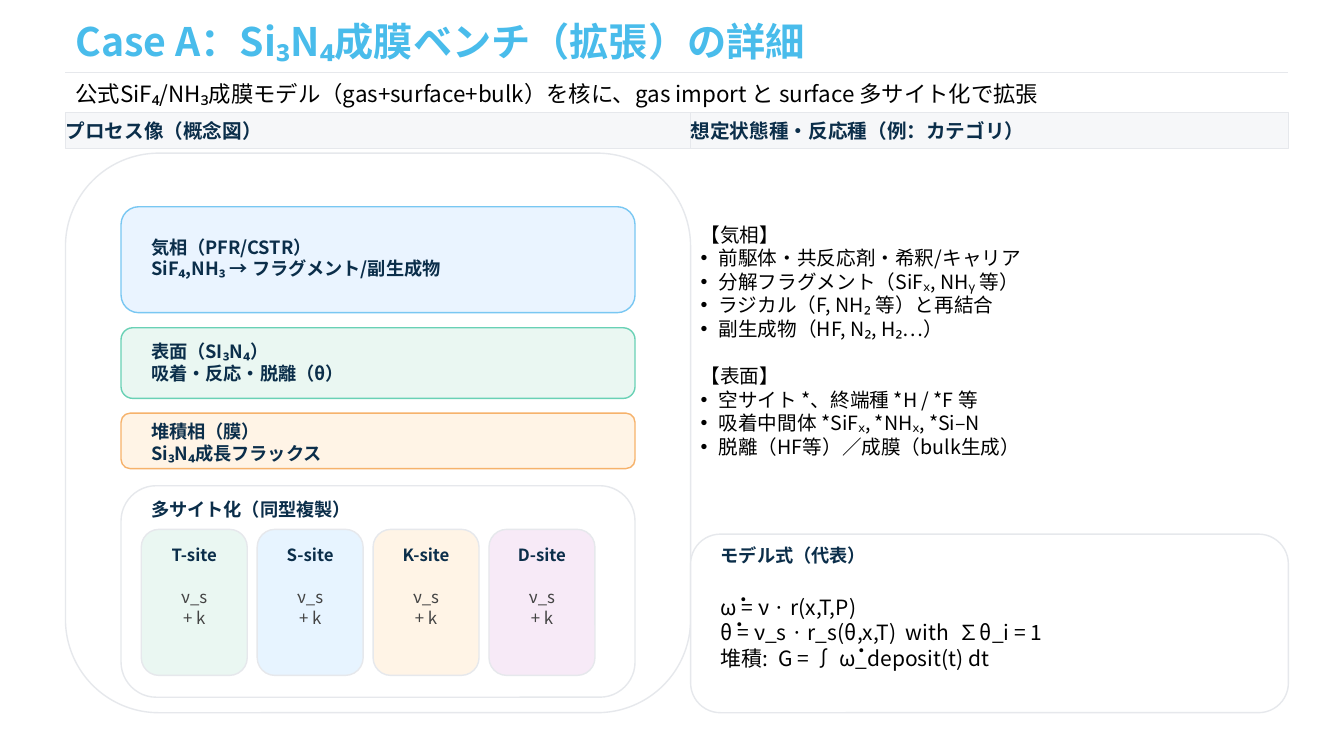
from dataclasses import dataclass
from lxml import etree
from pptx import Presentation
from pptx import util as u
from pptx.dml import color
from pptx.enum import shapes, text
from pptx.oxml import ns


@dataclass(frozen=True)
class Theme:
    font: str = "Noto Sans CJK JP"
    title: str = "49BCEB"
    ink: str = "000000"
    navy: str = "0B2E4A"
    gray: str = "444444"
    white: str = "FFFFFF"
    rule: str = "E6E8EC"
    header: str = "F6F7F9"
    gas: str = "EAF4FF"
    gas_line: str = "79C7F2"
    green: str = "EAF7F2"
    green_line: str = "69D1B5"
    orange: str = "FFF4E6"
    orange_line: str = "F6B26B"
    blue: str = "E7F4FF"
    purple: str = "F7EAF7"
    title_size: int = 28
    lead_size: int = 16
    formula_size: int = 15
    body_size: int = 14
    label_size: int = 13
    site_size: int = 12


theme = Theme()
LEFT, CENTER = text.PP_ALIGN.LEFT, text.PP_ALIGN.CENTER

presentation = Presentation()
presentation.slide_width = u.Cm(33.86)
presentation.slide_height = u.Cm(19.05)
slide = presentation.slides.add_slide(presentation.slide_layouts[1])


def write(shape, lines, size, ink, bold=False, align=LEFT):
    frame = shape.text_frame
    frame.word_wrap = True
    frame.auto_size = text.MSO_AUTO_SIZE.NONE
    frame.vertical_anchor = text.MSO_ANCHOR.MIDDLE
    frame.text = "\n".join(lines)
    for paragraph in frame.paragraphs:
        paragraph.alignment = align
        paragraph.space_before = u.Pt(0)
        font = paragraph.font
        font.name = theme.font
        font.size = u.Pt(size)
        font.bold = bold
        font.color.rgb = color.RGBColor.from_string(ink)
        defaults = paragraph._p.pPr.find(ns.qn("a:defRPr"))
        etree.SubElement(defaults, ns.qn("a:ea"), typeface=theme.font)
    return frame


def panel(kind, left, top, width, height, fill, line=theme.rule):
    shape = slide.shapes.add_shape(kind, u.Cm(left), u.Cm(top), u.Cm(width), u.Cm(height))
    shape.shadow.inherit = False
    shape.fill.solid()
    shape.fill.fore_color.rgb = color.RGBColor.from_string(fill)
    shape.line.color.rgb = color.RGBColor.from_string(line)
    shape.line.width = u.Pt(1)
    return shape


RECT = shapes.MSO_SHAPE.RECTANGLE
ROUND = shapes.MSO_SHAPE.ROUNDED_RECTANGLE

title = slide.shapes.title
title.left, title.top, title.width, title.height = map(u.Cm, (1.65, 0.46, 30.81, 1.14))
write(title, ["Case A：Si₃N₄成膜ベンチ（拡張）の詳細"], theme.title_size, theme.title, bold=True)

rule = slide.shapes.add_connector(
    shapes.MSO_CONNECTOR.STRAIGHT, u.Cm(1.65), u.Cm(1.83), u.Cm(32.46), u.Cm(1.83))
rule.line.color.rgb = color.RGBColor.from_string(theme.rule)
rule.line.width = u.Pt(1)
etree.SubElement(rule._element.spPr, ns.qn("a:effectLst"))

lead = slide.shapes.add_textbox(u.Cm(1.65), u.Cm(1.88), u.Cm(30.81), u.Cm(0.97))
write(lead, ["公式SiF₄/NH₃成膜モデル（gas+surface+bulk）を核に、gas import と surface 多サイト化で拡張"],
      theme.lead_size, theme.ink)

for left, width, heading in (
    (1.65, 15.75, "プロセス像（概念図）"),
    (17.4, 15.06, "想定状態種・反応種（例：カテゴリ）"),
):
    header = panel(RECT, left, 2.84, width, 0.91, theme.header)
    frame = write(header, [heading], theme.body_size, theme.navy, bold=True)
    frame.margin_left = frame.margin_right = frame.margin_top = frame.margin_bottom = 0

panel(ROUND, 1.65, 3.86, 15.75, 14.1, theme.white)

phases = (
    (5.21, 2.67, 5.54, 1.91, theme.gas, theme.gas_line,
     ["気相（PFR/CSTR）", "SiF₄,NH₃ → フラグメント/副生成物"]),
    (8.26, 1.78, 8.56, 1.14, theme.green, theme.green_line,
     ["表面（SI₃N₄）", "吸着・反応・脱離（θ）"]),
    (10.41, 1.4, 10.69, 0.89, theme.orange, theme.orange_line,
     ["堆積相（膜）", "Si₃N₄成長フラックス"]),
)
for top, height, label_top, label_height, fill, line, lines in phases:
    panel(ROUND, 3.05, top, 12.95, height, fill, line)
    label = slide.shapes.add_textbox(u.Cm(3.56), u.Cm(label_top), u.Cm(11.94), u.Cm(label_height))
    write(label, lines, theme.label_size, theme.navy, bold=True)

panel(ROUND, 3.05, 12.24, 12.95, 5.33, theme.white)
sites_label = slide.shapes.add_textbox(u.Cm(3.56), u.Cm(12.5), u.Cm(11.94), u.Cm(0.64))
write(sites_label, ["多サイト化（同型複製）"], theme.label_size, theme.navy, bold=True)

site_fills = (theme.green, theme.blue, theme.orange, theme.purple)
for index, (site, fill) in enumerate(zip("TSKD", site_fills)):
    left = 3.56 + 2.92 * index
    panel(ROUND, left, 13.34, 2.67, 3.68, fill)
    name = slide.shapes.add_textbox(u.Cm(left), u.Cm(13.67), u.Cm(2.67), u.Cm(0.64))
    write(name, [f"{site}-site"], theme.site_size, theme.navy, bold=True, align=CENTER)
    parameters = slide.shapes.add_textbox(u.Cm(left), u.Cm(14.35), u.Cm(2.67), u.Cm(1.91))
    write(parameters, ["ν_s", "+ k"], theme.site_size, theme.gray, align=CENTER)

categories = {
    "【気相】": [
        "前駆体・共反応剤・希釈/キャリア",
        "分解フラグメント（SiFₓ, NHᵧ 等）",
        "ラジカル（F, NH₂ 等）と再結合",
        "副生成物（HF, N₂, H₂…）",
    ],
    "【表面】": [
        "空サイト *、終端種 *H / *F 等",
        "吸着中間体 *SiFₓ, *NHₓ, *Si–N",
        "脱離（HF等）／成膜（bulk生成）",
    ],
}
species = slide.placeholders[1]
species.left, species.top, species.width, species.height = map(u.Cm, (17.4, 3.94, 15.06, 9.27))
species_lines = [line for heading, items in categories.items() for line in (heading, *items)]
frame = write(species, species_lines, theme.body_size, theme.ink)
for index, paragraph in enumerate(frame.paragraphs):
    properties = paragraph._p.pPr
    is_heading = paragraph.text in categories
    indent = 0 if is_heading else u.Cm(0.45)
    properties.set("marL", str(indent))
    properties.set("indent", str(-indent))
    bullet = etree.Element(ns.qn("a:buNone" if is_heading else "a:buChar"))
    if not is_heading:
        bullet.set("char", "•")
    elif index:
        paragraph.space_before = u.Pt(17)
    properties.find(ns.qn("a:defRPr")).addprevious(bullet)

panel(ROUND, 17.4, 13.46, 15.06, 4.5, theme.white)
model_label = slide.shapes.add_textbox(u.Cm(17.91), u.Cm(13.67), u.Cm(14.05), u.Cm(0.64))
write(model_label, ["モデル式（代表）"], theme.label_size, theme.navy, bold=True)
formulas = slide.shapes.add_textbox(u.Cm(17.91), u.Cm(14.35), u.Cm(14.05), u.Cm(3.18))
write(formulas, ["ω̇ = ν · r(x,T,P)", "θ̇ = ν_s · r_s(θ,x,T)  with  ∑θ_i = 1", "堆積:  G = ∫ ω̇_deposit(t) dt"],
      theme.formula_size, theme.ink)

presentation.save("out.pptx")
